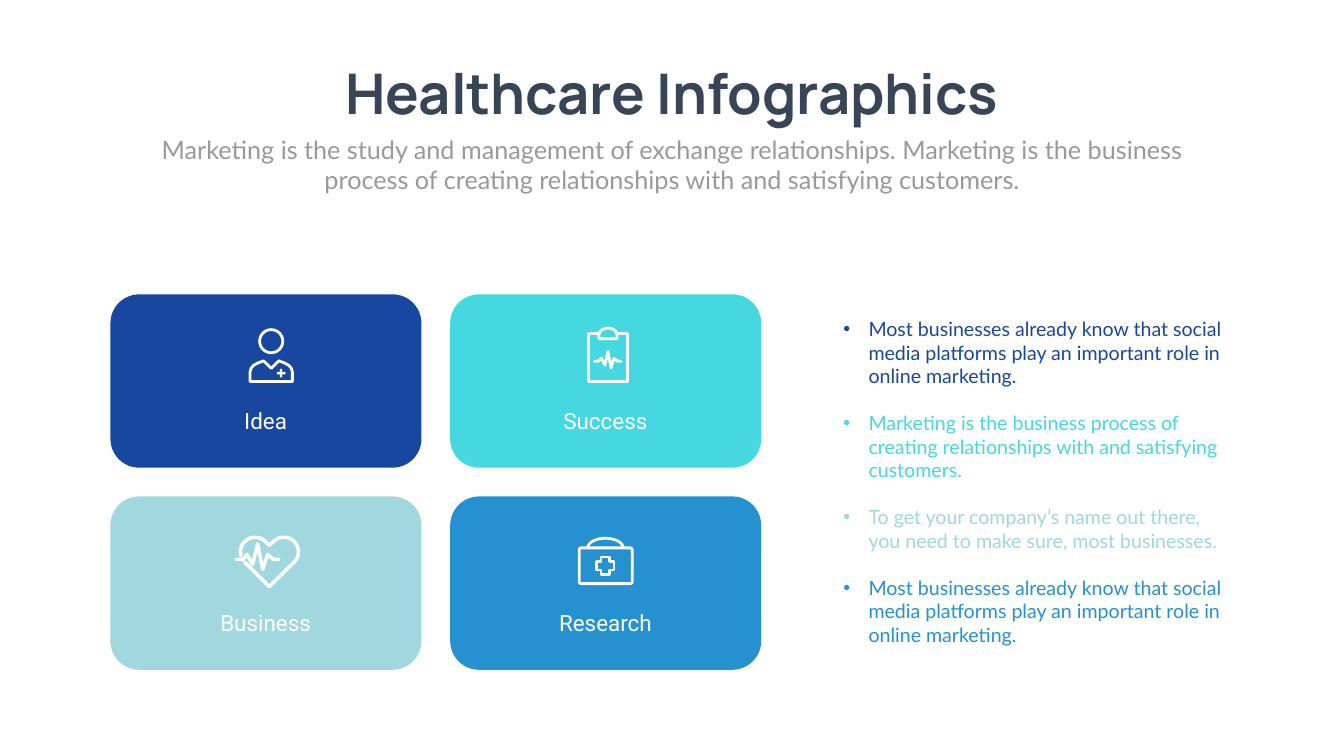
from math import cos, radians, sin
from lxml.etree import SubElement
from pptx import Presentation
from pptx.dml.color import RGBColor
from pptx.enum.shapes import MSO_SHAPE
from pptx.enum.text import MSO_ANCHOR, MSO_AUTO_SIZE, PP_ALIGN
from pptx.oxml.ns import qn
from pptx.util import Inches, Pt

WHITE = "FFFFFF"
ITEMS = [
    ("Idea", "18479F", "Most businesses already know that social media platforms "
     "play an important role in online marketing."),
    ("Success", "45D8E0", "Marketing is the business process of creating "
     "relationships with and satisfying customers."),
    ("Business", "A1D7DF", "To get your company’s name out there, you need to "
     "make sure, most businesses."),
    ("Research", "2591D0", "Most businesses already know that social media platforms "
     "play an important role in online marketing."),
]


def color(code):
    return RGBColor.from_string(code)


def style(para, face, size, code, bold=False):
    font = para.font
    font.name, font.size, font.bold = face, Pt(size), bold
    font.color.rgb = color(code)


def add_box(slide, area):
    frame = slide.shapes.add_textbox(*map(Inches, area)).text_frame
    frame.word_wrap = True
    return frame


def add_text(slide, area, text, face, size, code):
    para = add_box(slide, area).paragraphs[0]
    para.text = text
    para.alignment = PP_ALIGN.CENTER
    style(para, face, size, code)


def add_title(slide, text):
    title = slide.shapes.title
    title.left, title.top, title.width, title.height = map(Inches, (6.2, 1.12, 14.26, 1.45))
    frame = title.text_frame
    frame.text = text
    frame.word_wrap = False
    frame.auto_size = MSO_AUTO_SIZE.NONE
    frame.vertical_anchor = MSO_ANCHOR.TOP
    para = frame.paragraphs[0]
    para.alignment = PP_ALIGN.CENTER
    style(para, "Manrope", 80, "374556", True)


def add_list(slide, area):
    frame = add_box(slide, area)
    for i, (_, code, text) in enumerate(ITEMS):
        para = frame.add_paragraph() if i else frame.paragraphs[0]
        para.text = text
        props = para._p.get_or_add_pPr()
        props.set("marL", str(Inches(0.5)))
        props.set("indent", str(-Inches(0.5)))
        SubElement(props, qn("a:buFont"), typeface="Arial")
        SubElement(props, qn("a:buChar"), char="•")
        if i:
            para.space_before = Pt(33.6)
        style(para, "Lato", 28, code)


def add_shape(slide, kind, area, code):
    shape = slide.shapes.add_shape(kind, *map(Inches, area))
    shape.shadow.inherit = False
    shape.fill.solid()
    shape.fill.fore_color.rgb = color(code)
    shape.line.fill.background()
    return shape


def stroke(shape, width=4):
    shape.shadow.inherit = False
    shape.fill.background()
    shape.line.color.rgb = color(WHITE)
    shape.line.width = Pt(width)
    line = shape.line._get_or_add_ln()
    line.set("cap", "rnd")
    SubElement(line, qn("a:round"))


def draw(slide, points, close=False, width=4):
    spots = [(Inches(x), Inches(y)) for x, y in points]
    path = slide.shapes.build_freeform(*spots[0])
    path.add_line_segments(spots[1:], close=close)
    stroke(path.convert_to_shape(), width)


def frame(slide, kind, area):
    shape = add_shape(slide, kind, area, WHITE)
    stroke(shape)
    return shape


def arc(x, y, wide, high, start, end):
    turns = [radians(start + (end - start) * i / 24) for i in range(25)]
    return [(x + wide * cos(t), y + high * sin(t)) for t in turns]


def draw_doctor(slide):
    frame(slide, MSO_SHAPE.OVAL, (5.15, 6.54, 0.46, 0.46))
    half = [(4.96, 7.57), (4.96, 7.38), (4.98, 7.31), (5.03, 7.25), (5.12, 7.2), (5.23, 7.16)]
    other = [(10.76 - x, y) for x, y in reversed(half)]
    draw(slide, half + [(5.38, 7.31)] + other, True)
    plus = add_shape(slide, MSO_SHAPE.CROSS, (5.49, 7.32, 0.17, 0.17), WHITE)
    plus.adjustments[0] = 0.36


def draw_chart(slide):
    draw(slide, [(11.88, 6.62), (11.68, 6.62), (11.68, 7.57),
                 (12.44, 7.57), (12.44, 6.62), (12.24, 6.62)])
    draw(slide, arc(12.06, 6.65, 0.18, 0.14, 180, 360) + [(12.24, 6.72), (11.88, 6.72)], True)
    draw(slide, [(11.79, 7.17), (11.86, 7.17), (11.93, 7.11), (12, 7.24), (12.06, 6.97),
                 (12.12, 7.3), (12.18, 7.11), (12.26, 7.17), (12.32, 7.17)])


def draw_heart(slide):
    left = arc(5.06, 10.95, 0.29, 0.29, 165, 315)
    right = arc(5.63, 10.95, 0.29, 0.29, 225, 405)
    draw(slide, left + [(5.34, 10.82)] + right + [(5.34, 11.64), (4.85, 11.15)], width=5)
    draw(slide, [(4.69, 11.1), (4.82, 11.1), (4.9, 11), (5.01, 11.2), (5.11, 10.79),
                 (5.21, 11.3), (5.31, 11), (5.42, 11.1), (5.53, 11.1)], width=5)


def draw_kit(slide):
    case = frame(slide, MSO_SHAPE.ROUNDED_RECTANGLE, (11.49, 10.87, 1.05, 0.71))
    case.adjustments[0] = 0.05
    draw(slide, arc(12.01, 10.87, 0.35, 0.19, 180, 360))
    plus = frame(slide, MSO_SHAPE.CROSS, (11.83, 11.05, 0.35, 0.35))
    plus.adjustments[0] = 0.26


def add_cards(slide):
    for i, (name, code, _) in enumerate(ITEMS):
        row, col = divmod(i, 2)
        x, y = 2.19 + 6.74 * col, 5.84 + 4.01 * row
        add_shape(slide, MSO_SHAPE.ROUNDED_RECTANGLE, (x, y, 6.17, 3.44), code)
        add_text(slide, (x + 1.32, y + 2.19, 3.52, 0.73), name, "Roboto", 32, WHITE)


def main():
    deck = Presentation()
    deck.slide_width, deck.slide_height = Inches(26.66), Inches(15)
    slide = deck.slides.add_slide(deck.slide_layouts[5])
    slide.background.fill.solid()
    slide.background.fill.fore_color.rgb = color("FEFFFE")
    add_title(slide, "Healthcare Infographics")
    add_text(slide, (2.92, 2.61, 20.82, 1.31),
             "Marketing is the study and management of exchange relationships. "
             "Marketing is the business process of creating relationships with "
             "and satisfying customers.", "Lato", 36, "999999")
    add_list(slide, (16.63, 6.24, 7.84, 6.7))
    add_cards(slide)
    for icon in (draw_doctor, draw_chart, draw_heart, draw_kit):
        icon(slide)
    deck.save("out.pptx")


if __name__ == "__main__":
    main()
